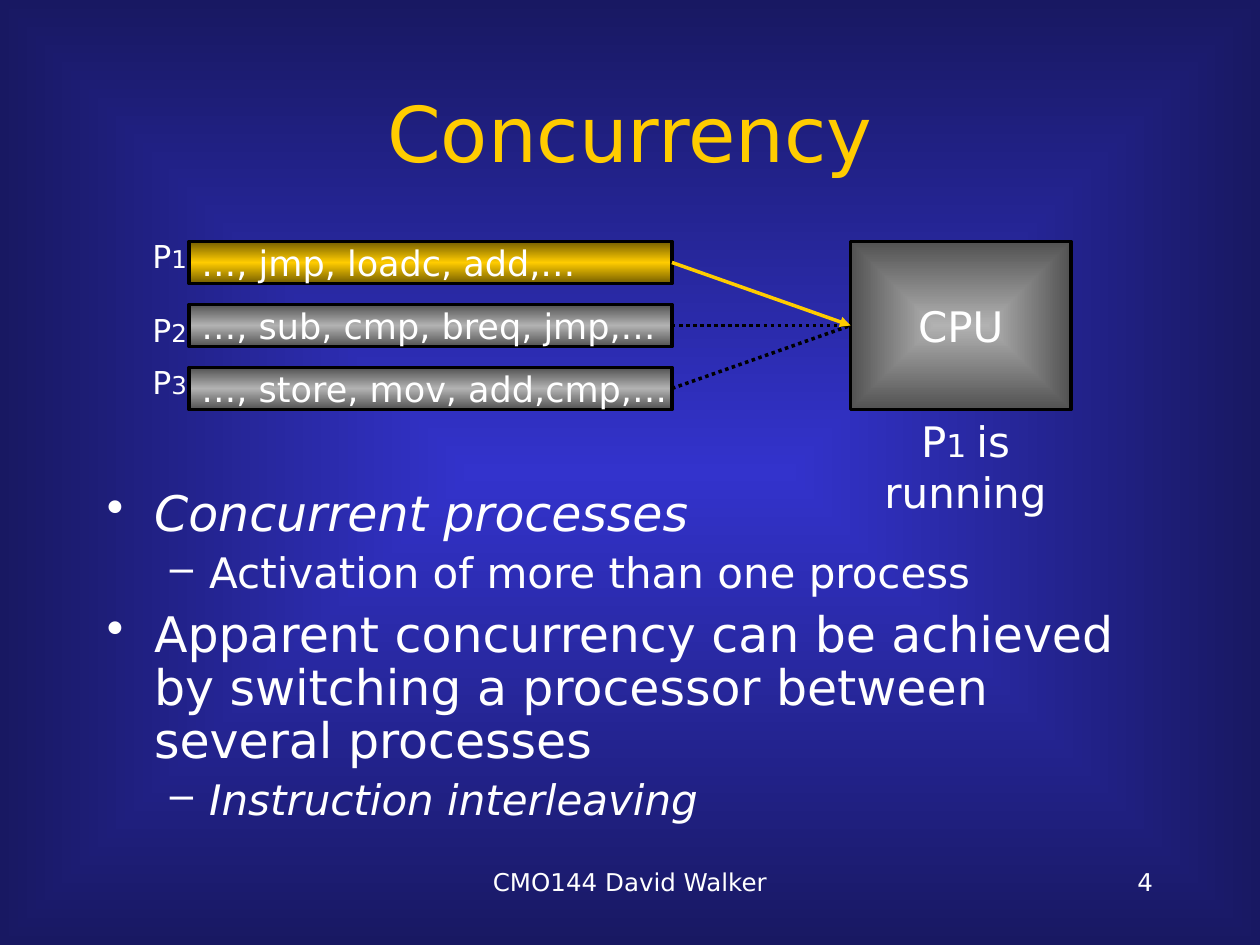
from pptx import Presentation
from pptx.dml.color import RGBColor
from pptx.enum.dml import MSO_LINE
from pptx.enum.shapes import MSO_CONNECTOR, MSO_SHAPE
from pptx.enum.text import MSO_ANCHOR, PP_ALIGN
from pptx.oxml import parse_xml
from pptx.oxml.ns import nsdecls, qn
from pptx.util import Pt

WHITE, BLACK, GOLD, DARK_GOLD = "FFFFFF", "000000", "FFCC00", "755E00"
LIGHT_GREY, DARK_GREY = "B2B2B2", "525252"
TOP, LEFT, BOTTOM, RIGHT = range(4)
FROM_CENTRE = '<a:path path="rect"><a:fillToRect l="50000" t="50000" r="50000" b="50000"/></a:path>'
DOWNWARD = '<a:lin ang="5400000" scaled="0"/>'


def color(value):
    return RGBColor.from_string(value)


def element(tag, content="", **attributes):
    """Make one drawing element from its tag, inner XML and attributes."""
    values = "".join(f' {name}="{value}"' for name, value in attributes.items())
    return parse_xml(f'<a:{tag} {nsdecls("a")}{values}>{content}</a:{tag}>')


def set_gradient(fill, owner, colors, direction):
    """Spread the colours evenly over the gradient found inside owner."""
    fill.gradient()
    gradient = owner.find(".//" + qn("a:gradFill"))
    for child in list(gradient):
        gradient.remove(child)
    step = 100000 // (len(colors) - 1)
    stops = "".join(
        f'<a:gs pos="{index * step}"><a:srgbClr val="{value}"/></a:gs>'
        for index, value in enumerate(colors)
    )
    holder = element("gradFill", f"<a:gsLst>{stops}</a:gsLst>{direction}")
    for child in list(holder):
        gradient.append(child)


class SlideBuilder:
    font = "DejaVu Sans"
    levels = [
        {"bullet": "•", "size": 28, "margin": 27, "hanging": 27, "space": 7},
        {"bullet": "–", "size": 24, "margin": 58.5, "hanging": 22.5, "space": 6},
    ]

    def __init__(self, deck):
        self.slide = deck.slides.add_slide(deck.slide_layouts[6])

    def background(self, colors):
        set_gradient(self.slide.background.fill, self.slide.element, colors, FROM_CENTRE)

    def add_span(self, para, text, size, fill=WHITE, italic=False):
        span = para.add_run()
        span.text = text
        span.font.color.rgb = color(fill)
        style = {"name": self.font, "size": Pt(size), "italic": italic}
        for name, value in style.items():
            setattr(span.font, name, value)

    def text(self, place, spans, align=PP_ALIGN.CENTER, anchor=MSO_ANCHOR.TOP, fill=WHITE):
        """Add a one-paragraph text box; spans are (text, size) pairs."""
        frame = self.slide.shapes.add_textbox(*map(Pt, place)).text_frame
        frame.word_wrap = True
        frame.vertical_anchor = anchor
        para = frame.paragraphs[0]
        para.alignment = align
        for text, size in spans:
            self.add_span(para, text, size, fill)

    def bullets(self, place, items):
        """Add a bullet list; items are (level, text, italic)."""
        frame = self.slide.shapes.add_textbox(*map(Pt, place)).text_frame
        frame.word_wrap = True
        for index, (level, text, italic) in enumerate(items):
            style = self.levels[level]
            para = frame.add_paragraph() if index else frame.paragraphs[0]
            properties = para._p.get_or_add_pPr()
            properties.set("marL", str(Pt(style["margin"])))
            properties.set("indent", str(-Pt(style["hanging"])))
            properties.append(element("buClr", f'<a:srgbClr val="{WHITE}"/>'))
            properties.append(element("buChar", char=style["bullet"]))
            para.level = level
            para.line_spacing = 0.9
            para.space_before = Pt(style["space"] if index else 0)
            self.add_span(para, text, style["size"], italic=italic)

    def box(self, place, text, size, colors, direction, align):
        box = self.slide.shapes.add_shape(MSO_SHAPE.RECTANGLE, *map(Pt, place))
        box.shadow.inherit = False
        set_gradient(box.fill, box.element, colors, direction)
        box.line.color.rgb = color(BLACK)
        box.line.width = Pt(2)
        frame = box.text_frame
        frame.word_wrap = False
        frame.vertical_anchor = MSO_ANCHOR.MIDDLE
        frame.paragraphs[0].alignment = align
        self.add_span(frame.paragraphs[0], text, size)
        return box

    def connect(self, start, end, fill, dash=None, arrow=False):
        """Join the right side of start to the left side of end."""
        line = self.slide.shapes.add_connector(MSO_CONNECTOR.STRAIGHT, 0, 0, 0, 0)
        line.begin_connect(start, RIGHT)
        line.end_connect(end, LEFT)
        line.line.color.rgb = color(fill)
        line.line.width = Pt(2)
        if dash:
            line.line.dash_style = dash
        if arrow:
            line.element.find(".//" + qn("a:ln")).append(element("tailEnd", type="triangle"))
        line.element.spPr.append(element("effectLst"))


def main():
    deck = Presentation()
    deck.slide_width, deck.slide_height = Pt(720), Pt(540)
    page = SlideBuilder(deck)
    page.background(["3333CC", "181862"])
    page.text((54, 30, 612, 90), [("Concurrency", 44)], anchor=MSO_ANCHOR.MIDDLE, fill=GOLD)
    page.bullets((54, 276, 612, 204), [
        (0, "Concurrent processes", True),
        (1, "Activation of more than one process", False),
        (0, "Apparent concurrency can be achieved by switching a processor "
            "between several processes", False),
        (1, "Instruction interleaving", True),
    ])

    cpu = page.box((486, 138, 126, 96), "CPU", 24, [LIGHT_GREY, DARK_GREY],
                   FROM_CENTRE, PP_ALIGN.CENTER)
    running = [DARK_GOLD, GOLD, DARK_GOLD]
    waiting = [DARK_GREY, LIGHT_GREY, DARK_GREY]
    processes = [
        ("…, jmp, loadc, add,…", running, 132),
        ("…, sub, cmp, breq, jmp,…", waiting, 174),
        ("…, store, mov, add,cmp,…", waiting, 204),
    ]
    bars = []
    for index, (instructions, colors, label_top) in enumerate(processes):
        bars.append(page.box((108, 138 + 36 * index, 276, 24), instructions, 20,
                             colors, DOWNWARD, PP_ALIGN.LEFT))
        page.text((78, label_top, 36, 28.8), [("P", 18), (str(index + 1), 14)], PP_ALIGN.RIGHT)
    for bar in bars[1:]:
        page.connect(bar, cpu, BLACK, dash=MSO_LINE.ROUND_DOT)
    page.connect(bars[0], cpu, GOLD, arrow=True)

    page.text((473, 234, 157.5, 36), [("P", 24), ("1 ", 18), ("is running", 24)])
    page.text((246, 492, 228, 36), [("CMO144 David Walker", 14)])
    page.text((516, 492, 150, 36), [("4", 14)], PP_ALIGN.RIGHT)
    deck.save("out.pptx")


if __name__ == "__main__":
    main()
